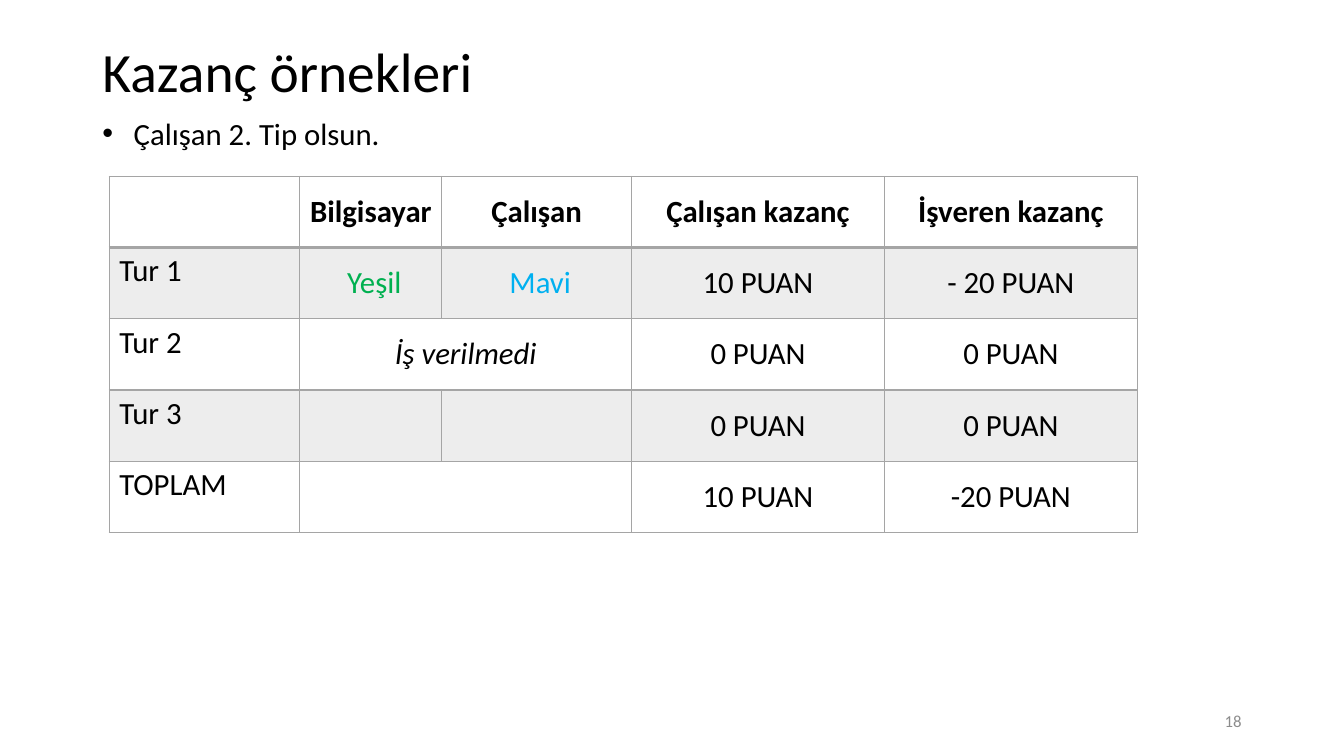
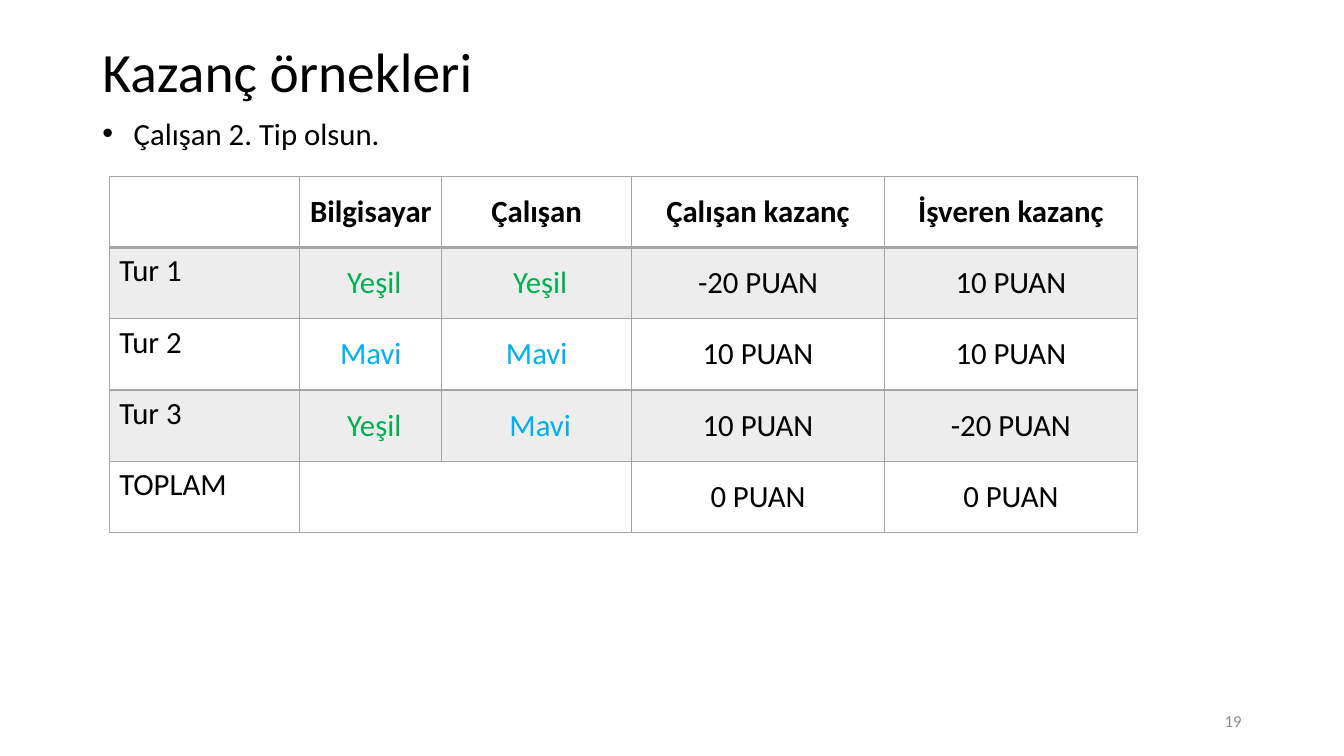
"""Builds two slides of payoff examples, each with a list line and a table."""
from lxml import etree
from pptx import Presentation
from pptx import util as u
from pptx.dml.color import RGBColor
from pptx.enum import text
from pptx.oxml.ns import qn

COLORS = {"ink": "000000", "rule": "A5A5A5", "band": "EDEDED",
          "muted": "8C8C8C", "green": "00B050", "blue": "00B0F0"}
WORDS = {"Yeşil": "green", "Mavi": "blue"}
TITLE = "Kazanç örnekleri"
TOPIC = "Çalışan 2. Tip olsun."
HEADER = ["", "Bilgisayar", "Çalışan", "Çalışan kazanç", "İşveren kazanç"]
NO_JOB = "İş verilmedi"
COL_WIDTHS = [22.7, 16.9, 22.6, 30.1, 30.1]
ROW_HEIGHT = 8.48

EXAMPLES = [
    (18, [["Tur 1", " Yeşil", " Mavi", "10 PUAN", "- 20 PUAN"],
          ["Tur 2", NO_JOB, None, "0 PUAN", "0 PUAN"],
          ["Tur 3", "", "", "0 PUAN", "0 PUAN"],
          ["TOPLAM", "", None, "10 PUAN", "-20 PUAN"]]),
    (19, [["Tur 1", " Yeşil", " Yeşil", "-20 PUAN", "10 PUAN"],
          ["Tur 2", "Mavi", "Mavi", "10 PUAN", "10 PUAN"],
          ["Tur 3", " Yeşil", " Mavi", "10 PUAN", "-20 PUAN"],
          ["TOPLAM", "", None, "0 PUAN", "0 PUAN"]]),
]


class Deck:
    """Holds the shared style and the current slide on a 160 by 90 grid."""

    font = "Calibri"
    columns, rows = 160, 90

    def __init__(self):
        self.prs = Presentation()
        self.prs.slide_width = u.Inches(13.33)
        self.prs.slide_height = u.Inches(7.5)
        self.s = None

    def x(self, n):
        return u.Emu(round(self.prs.slide_width * n / self.columns))

    def y(self, n):
        return u.Emu(round(self.prs.slide_height * n / self.rows))

    def place(self, sp, left, top, width, height):
        sp.left, sp.top = self.x(left), self.y(top)
        sp.width, sp.height = self.x(width), self.y(height)

    def run(self, p, words, size, color="ink", bold=False, italic=False):
        r = p.add_run()
        r.text = words
        r.font.name, r.font.size = self.font, u.Pt(size)
        r.font.bold, r.font.italic = bold, italic
        r.font.color.rgb = RGBColor.from_string(COLORS[color])

    def slide(self):
        self.s = self.prs.slides.add_slide(self.prs.slide_layouts[1])

    def title(self, words):
        sp = self.s.shapes.title
        self.place(sp, 11, 4.8, 138, 8.2)
        tf = sp.text_frame
        tf.auto_size = text.MSO_AUTO_SIZE.NONE
        tf.vertical_anchor = text.MSO_ANCHOR.MIDDLE
        p = tf.paragraphs[0]
        p.alignment, p.line_spacing = text.PP_ALIGN.LEFT, 0.9
        self.run(p, words, 39.6)

    def bullet(self, words):
        sp = self.s.placeholders[1]
        self.place(sp, 11, 13, 138, 5.6)
        sp.text_frame.auto_size = text.MSO_AUTO_SIZE.SHAPE_TO_FIT_TEXT
        p = sp.text_frame.paragraphs[0]
        p.space_before = u.Pt(0)
        pPr = p._p.get_or_add_pPr()
        pPr.set("marL", str(u.Inches(0.31)))
        pPr.set("indent", str(-u.Inches(0.31)))
        self.run(p, words, 22)

    def number(self, n):
        sp = self.s.shapes.add_textbox(self.x(113), self.y(83.4),
                                       self.x(36), self.y(4.8))
        tf = sp.text_frame
        tf.word_wrap = True
        tf.vertical_anchor = text.MSO_ANCHOR.MIDDLE
        p = tf.paragraphs[0]
        p.alignment = text.PP_ALIGN.RIGHT
        self.run(p, str(n), 12, "muted")

    def borders(self, cell, row):
        tcPr = cell._tc.get_or_add_tcPr()
        thick = {0: "lnB", 1: "lnT"}.get(row)
        for side in ("lnL", "lnR", "lnT", "lnB"):
            width = u.Pt(2 if side == thick else 1)
            ln = etree.SubElement(tcPr, qn("a:" + side), w=str(width))
            fill = etree.SubElement(ln, qn("a:solidFill"))
            etree.SubElement(fill, qn("a:srgbClr"), val=COLORS["rule"])

    def cell(self, cell, row, col, words):
        self.borders(cell, row)
        if row % 2:
            cell.fill.solid()
            cell.fill.fore_color.rgb = RGBColor.from_string(COLORS["band"])
        else:
            cell.fill.background()
        p = cell.text_frame.paragraphs[0]
        if col:
            cell.vertical_anchor = text.MSO_ANCHOR.MIDDLE
            p.alignment = text.PP_ALIGN.CENTER
        if not words:
            return
        color = WORDS.get(words.strip(), "ink")
        if words.startswith(" "):
            self.run(p, " ", 22)
        self.run(p, words.lstrip(), 22, color, row == 0, words == NO_JOB)

    def table(self, data):
        frame = self.s.shapes.add_table(
            len(data), len(COL_WIDTHS), self.x(13), self.y(21),
            self.x(sum(COL_WIDTHS)), self.y(ROW_HEIGHT * len(data)))
        tbl = frame.table
        tbl.first_row = tbl.horz_banding = False
        for column, width in zip(tbl.columns, COL_WIDTHS):
            column.width = self.x(width)
        for i, line in enumerate(data):
            tbl.rows[i].height = self.y(ROW_HEIGHT)
            for j, words in enumerate(line):
                self.cell(tbl.cell(i, j), i, j, words)
                if words is None:
                    tbl.cell(i, j - 1).merge(tbl.cell(i, j))


deck = Deck()
for page, rounds in EXAMPLES:
    deck.slide()
    deck.title(TITLE)
    deck.bullet(TOPIC)
    deck.table([HEADER] + rounds)
    deck.number(page)
deck.prs.save("out.pptx")
